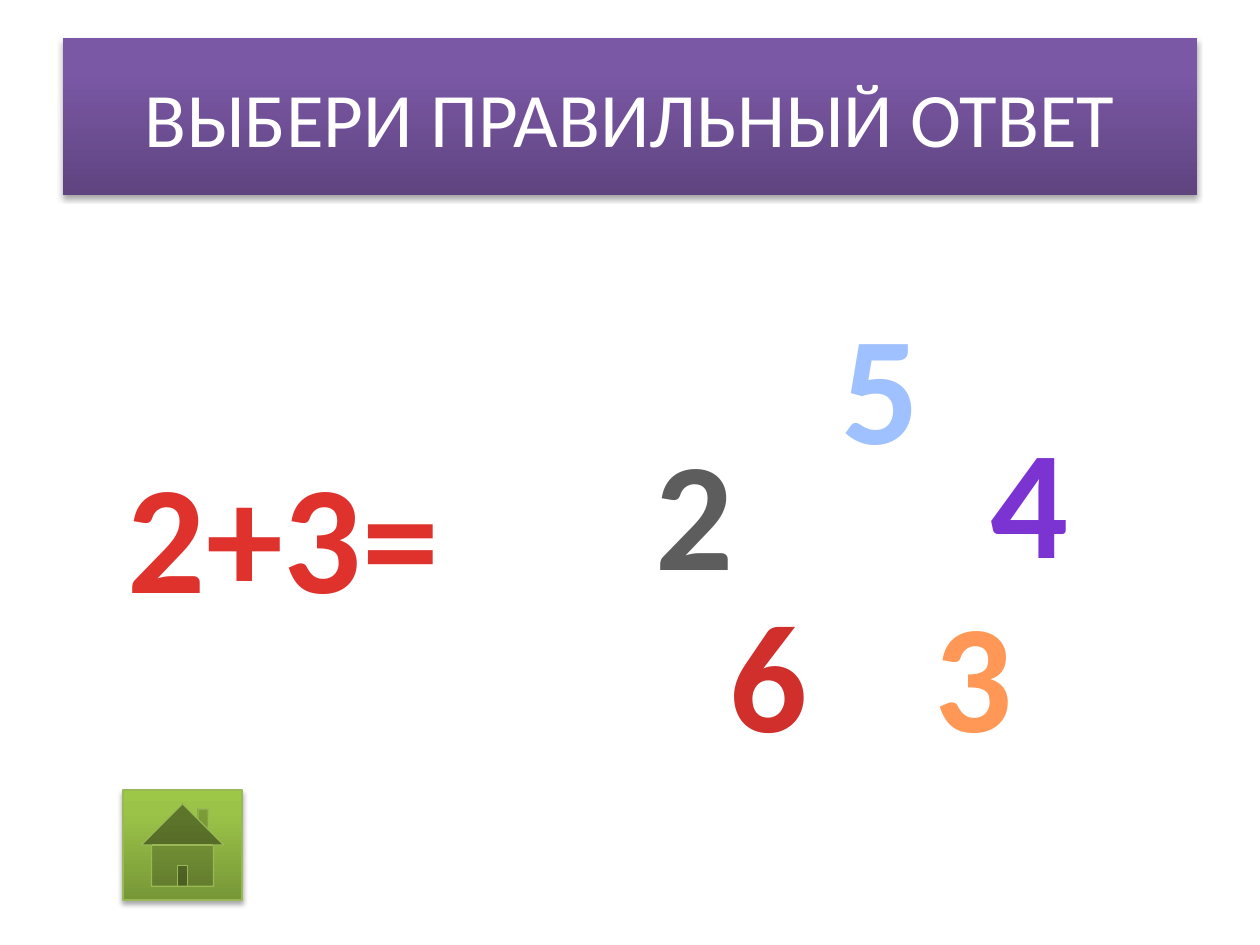
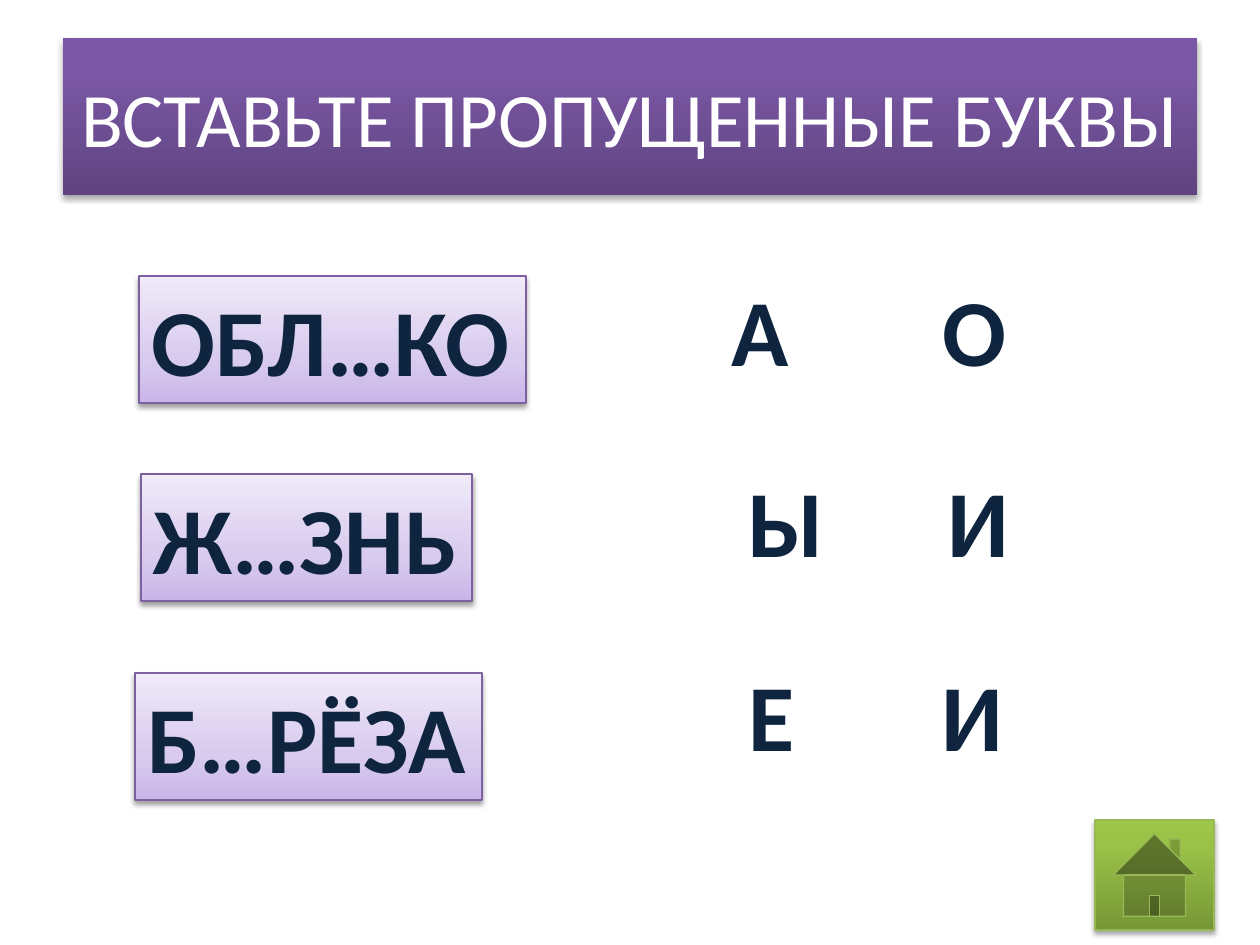
import copy

import lxml.etree
import pptx
import pptx.dml.color
import pptx.enum.shapes
import pptx.enum.text
import pptx.oxml.ns
import pptx.util

RGBColor = pptx.dml.color.RGBColor
Shapes = pptx.enum.shapes.MSO_SHAPE
Align = pptx.enum.text.PP_ALIGN
Anchor = pptx.enum.text.MSO_ANCHOR
qn = pptx.oxml.ns.qn

WHITE = RGBColor(0xFF, 0xFF, 0xFF)
NAVY = RGBColor(0x0F, 0x24, 0x3E)
RED = RGBColor(0xE0, 0x32, 0x2D)
CRIMSON = RGBColor(0xD0, 0x2F, 0x2C)
BLUE = RGBColor(0xA0, 0xC1, 0xFF)
VIOLET = RGBColor(0x7B, 0x34, 0xD2)
GRAY = RGBColor(0x5D, 0x5D, 0x5D)
ORANGE = RGBColor(0xFF, 0x98, 0x56)
WORD_LINE = RGBColor(0x7D, 0x60, 0xA0)
HOME_LINE = RGBColor(0x98, 0xB9, 0x55)

BAND_STOPS = [(0, RGBColor(0x5F, 0x44, 0x80)), (80, RGBColor(0x7B, 0x58, 0xA6)),
              (100, RGBColor(0x7C, 0x57, 0xA8))]
HOME_STOPS = [(0, RGBColor(0x77, 0x97, 0x37)), (80, RGBColor(0x9B, 0xC3, 0x48)),
              (100, RGBColor(0x9D, 0xC7, 0x46))]
WORD_STOPS = [(0, RGBColor(0xC9, 0xB5, 0xE8)), (35, RGBColor(0xD8, 0xCB, 0xEE)),
              (100, RGBColor(0xF0, 0xEA, 0xF9))]


class Deck:
    font_name = "Calibri"
    scale = 914400 / 126

    def __init__(self):
        self.presentation = pptx.Presentation()
        self.presentation.slide_width = self.px(1260)
        self.presentation.slide_height = self.px(945)
        self.slide = None

    def px(self, length):
        return pptx.util.Emu(round(length * self.scale))

    def box(self, *lengths):
        return [self.px(length) for length in lengths]

    def add_slide(self, title):
        self.slide = self.presentation.slides.add_slide(self.presentation.slide_layouts[6])
        band = self.panel(Shapes.RECTANGLE, (63, 38, 1134, 157), BAND_STOPS)
        self.set_text(band, title, 44, WHITE, bold=False, align=Align.CENTER)
        band.text_frame.vertical_anchor = Anchor.MIDDLE

    def panel(self, kind, place, stops, line=None, shadow_alpha=35):
        shape = self.slide.shapes.add_shape(kind, *self.box(*place))
        self.gradient(shape, stops)
        if line is None:
            shape.line.fill.background()
        else:
            shape.line.color.rgb = line
            shape.line.width = pptx.util.Pt(0.75)
        self.shadow(shape, shadow_alpha)
        return shape

    def gradient(self, shape, stops):
        shape.fill.gradient()
        shape.fill.gradient_angle = 90
        stop_list = shape._element.spPr.find(qn("a:gradFill")).find(qn("a:gsLst"))
        stop_list.append(copy.deepcopy(stop_list[-1]))
        for stop, (position, color) in zip(shape.fill.gradient_stops, stops):
            stop.position = position / 100
            stop.color.rgb = color

    def shadow(self, shape, alpha):
        shape.shadow.inherit = False
        effects = shape._element.spPr.find(qn("a:effectLst"))
        outer = lxml.etree.SubElement(
            effects, qn("a:outerShdw"), blurRad=str(pptx.util.Pt(3.1)),
            dist=str(pptx.util.Pt(1.8)), dir="5400000", rotWithShape="0")
        color = lxml.etree.SubElement(outer, qn("a:srgbClr"), val="000000")
        lxml.etree.SubElement(color, qn("a:alpha"), val=str(alpha * 1000))

    def set_text(self, shape, text, size, color, bold=True, align=Align.LEFT, wrap=True):
        frame = shape.text_frame
        frame.text = text
        frame.word_wrap = wrap
        frame.vertical_anchor = Anchor.TOP
        paragraph = frame.paragraphs[0]
        paragraph.alignment = align
        font = paragraph.runs[0].font
        font.name = self.font_name
        font.size = pptx.util.Pt(size)
        font.bold = bold
        font.color.rgb = color

    def text(self, text, place, size, color, **style):
        shape = self.slide.shapes.add_textbox(*self.box(*place))
        self.set_text(shape, text, size, color, **style)
        shape.text_frame.auto_size = pptx.enum.text.MSO_AUTO_SIZE.SHAPE_TO_FIT_TEXT
        return shape

    def number(self, text, left, top, color, width=113):
        return self.text(text, (left, top, width, 199), 88, color, align=Align.CENTER)

    def word(self, text, left, top, width):
        shape = self.panel(Shapes.RECTANGLE, (left, top, width, 127), WORD_STOPS, WORD_LINE, 38)
        self.set_text(shape, text, 54, NAVY, wrap=False)

    def letter(self, text, left, top, width):
        self.text(text, (left, top, width, 127), 54, NAVY, wrap=False)

    def home_button(self, left, top):
        self.panel(Shapes.ACTION_BUTTON_HOME, (left, top, 119, 110), HOME_STOPS, HOME_LINE)


def add_sum_slide(deck):
    deck.add_slide("ВЫБЕРИ ПРАВИЛЬНЫЙ ОТВЕТ")
    question = deck.number("2+3=", 105, 433, RED, width=357)
    question.text_frame.paragraphs[0].runs[0]._r.get_or_add_rPr().set("spc", "50")
    answers = [("4", 973, 398, VIOLET), ("5", 824, 284, BLUE), ("3", 917, 572, ORANGE),
               ("2", 638, 410, GRAY), ("6", 712, 572, CRIMSON)]
    for answer in answers:
        deck.number(*answer)
    deck.home_button(123, 790)


def add_letters_slide(deck):
    deck.add_slide("ВСТАВЬТЕ ПРОПУЩЕННЫЕ БУКВЫ")
    deck.home_button(1095, 820)
    words = [("ОБЛ…КО", 139, 276, 387), ("Ж…ЗНЬ", 141, 474, 331), ("Б…РЁЗА", 135, 673, 347)]
    for word in words:
        deck.word(*word)
    letters = [("А", 719, 266, 105), ("О", 930, 266, 89),
               ("Ы", 736, 457, 102), ("И", 935, 457, 88),
               ("Е", 736, 651, 72), ("И", 929, 651, 88)]
    for letter in letters:
        deck.letter(*letter)


def main():
    deck = Deck()
    add_sum_slide(deck)
    add_letters_slide(deck)
    deck.presentation.save("out.pptx")


if __name__ == "__main__":
    main()
